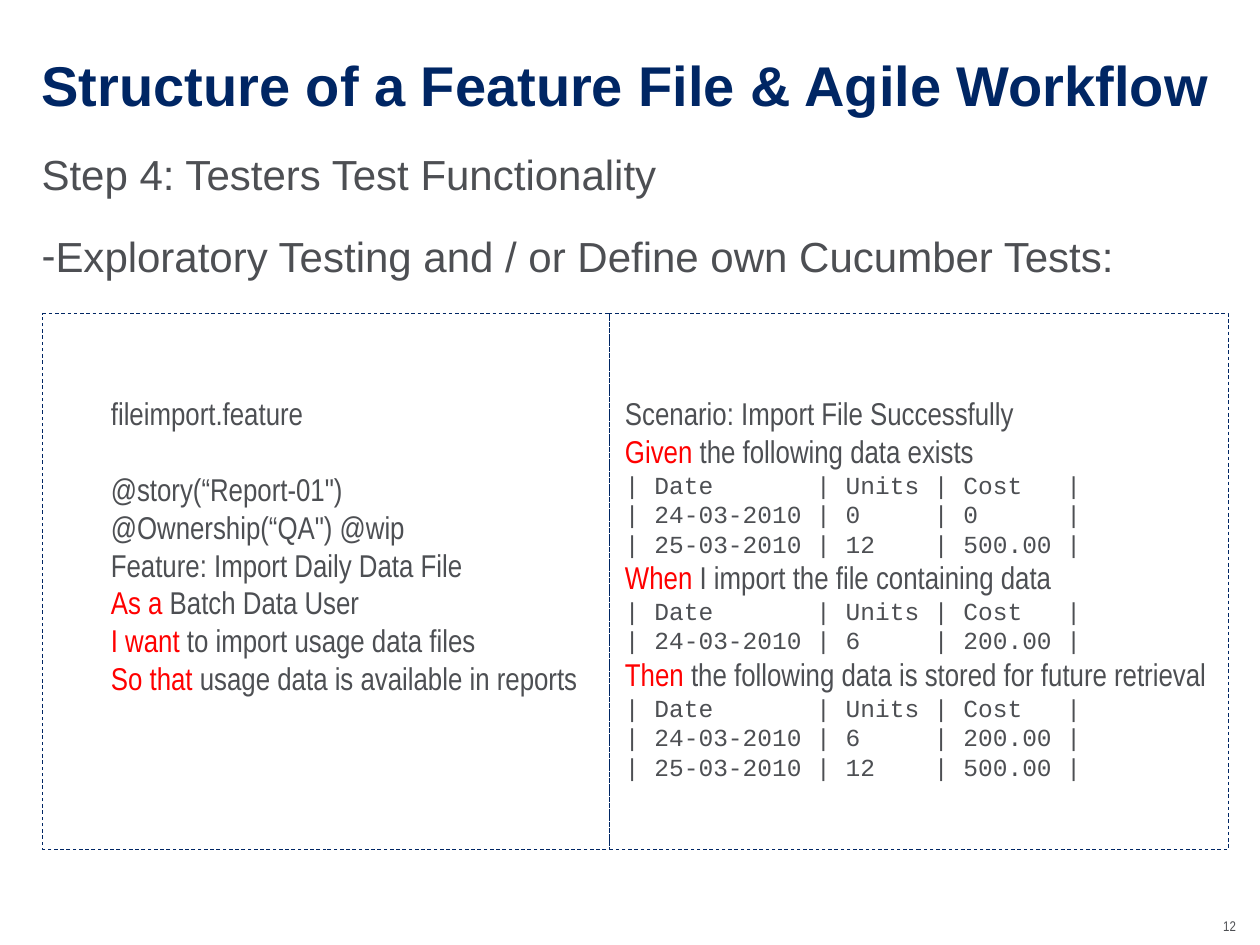
"""Build the slide on testing a feature file, step 4 of the agile workflow."""
from dataclasses import dataclass
from typing import Any

from lxml import etree
from pptx import Presentation
from pptx import util as u
from pptx.dml.color import RGBColor
from pptx.enum import dml, shapes, text
from pptx.oxml.ns import qn

SLIDE_WIDTH, SLIDE_HEIGHT = u.Inches(10), u.Inches(7.5)
COLUMNS, ROWS = 100, 75


@dataclass(frozen=True)
class Theme:
    """Colours, typefaces and type sizes of the slide."""
    navy: RGBColor = RGBColor(0x00, 0x26, 0x64)
    grey: RGBColor = RGBColor(0x4D, 0x4F, 0x53)
    red: RGBColor = RGBColor(0xFF, 0x00, 0x00)
    sans: str = "Arial"
    narrow: str = "Arial Narrow"
    mono: str = "Courier New"
    title: int = 32
    body: int = 24
    step: int = 18
    table: int = 14
    number: int = 8


THEME = Theme()


@dataclass(frozen=True)
class Frame:
    """A place on the grid, in columns and rows."""
    left: float
    top: float
    width: float
    height: float


@dataclass(frozen=True)
class Line:
    """One line of feature text with an optional red keyword."""
    words: str
    keyword: str = ""
    before: float = 0
    code: bool = False


@dataclass(frozen=True)
class Panel:
    """A dashed box of feature text."""
    frame: Frame
    indent: float
    lines: list[Line]


def columns(count: float) -> int:
    """Return the width of a number of grid columns."""
    return round(SLIDE_WIDTH * count / COLUMNS)


def rows(count: float) -> int:
    """Return the height of a number of grid rows."""
    return round(SLIDE_HEIGHT * count / ROWS)


def table_lines(*records: tuple[str, str]) -> list[Line]:
    """Lay out a header and records as lines of a Gherkin table."""
    cells = [("Date", "Units", "Cost")]
    cells += [(f"{day}-03-2010", *values.split()) for day, values in records]
    return [Line(f"| {date:<10} | {units:<5} | {cost:<6} |", code=True)
            for date, units, cost in cells]


def apply(target: Any, values: dict[str, Any]) -> None:
    """Set each named attribute on the target."""
    for name, value in values.items():
        setattr(target, name, value)


def place(shape: Any, frame: Frame) -> None:
    """Move a shape to its grid frame."""
    apply(shape, {"left": columns(frame.left), "top": rows(frame.top),
                  "width": columns(frame.width), "height": rows(frame.height)})


def format_frame(shape: Any, left: float = 0, top: float = 0,
                 anchor: Any = text.MSO_ANCHOR.TOP) -> Any:
    """Set the margins of a text frame and return it."""
    frame = shape.text_frame
    apply(frame, {"margin_left": columns(left), "margin_top": rows(top),
                  "margin_right": 0, "margin_bottom": 0, "word_wrap": True,
                  "auto_size": text.MSO_AUTO_SIZE.NONE,
                  "vertical_anchor": anchor})
    return frame


def add_paragraph(frame: Any, index: int, before: float = 0,
                  align: Any = text.PP_ALIGN.LEFT) -> Any:
    """Return the paragraph at the index, adding it after the first."""
    paragraph = frame.add_paragraph() if index else frame.paragraphs[0]
    apply(paragraph, {"alignment": align, "space_before": u.Pt(before)})
    return paragraph


def add_run(paragraph: Any, words: str, name: str, size: int,
            color: RGBColor, bold: bool = False) -> None:
    """Append formatted words to a paragraph."""
    run = paragraph.add_run()
    run.text = words
    apply(run.font, {"name": name, "size": u.Pt(size), "bold": bold})
    run.font.color.rgb = color


def set_bullet(paragraph: Any, mark: str = "") -> None:
    """Give a paragraph a flush bullet mark, or none."""
    properties = paragraph._p.get_or_add_pPr()
    apply_indent = {"marL": "0", "indent": "0"}
    for name, value in apply_indent.items():
        properties.set(name, value)
    bullet = etree.SubElement(properties, qn("a:buChar" if mark else "a:buNone"))
    if mark:
        bullet.set("char", mark)


def draw_title(slide: Any, words: str) -> None:
    """Fill the title placeholder."""
    shape = slide.shapes.title
    place(shape, Frame(3.3, 3.7, 93.3, 5.9))
    frame = format_frame(shape, anchor=text.MSO_ANCHOR.MIDDLE)
    add_run(add_paragraph(frame, 0), words, THEME.sans, THEME.title,
            THEME.navy, True)


def draw_body(slide: Any, items: list[tuple[str, str]]) -> None:
    """Fill the body placeholder with marked lines."""
    shape = slide.placeholders[1]
    place(shape, Frame(3.3, 11.8, 93.3, 53.5))
    frame = format_frame(shape)
    for index, (mark, words) in enumerate(items):
        paragraph = add_paragraph(frame, index, 18 if index else 0)
        set_bullet(paragraph, mark)
        add_run(paragraph, words, THEME.sans, THEME.body, THEME.grey)


def draw_panel(slide: Any, panel: Panel) -> None:
    """Draw a dashed box and its feature text."""
    shape = slide.shapes.add_shape(shapes.MSO_SHAPE.RECTANGLE, 0, 0, 0, 0)
    place(shape, panel.frame)
    shape.shadow.inherit = False
    shape.fill.background()
    shape.line.color.rgb = THEME.navy
    apply(shape.line, {"width": u.Pt(0.5), "dash_style": dml.MSO_LINE.DASH})
    frame = format_frame(shape, panel.indent, 6.4)
    for index, line in enumerate(panel.lines):
        paragraph = add_paragraph(frame, index, line.before)
        if line.keyword:
            add_run(paragraph, line.keyword, THEME.narrow, THEME.step, THEME.red)
        name, size = ((THEME.mono, THEME.table) if line.code
                      else (THEME.narrow, THEME.step))
        add_run(paragraph, line.words, name, size, THEME.grey)


def draw_number(slide: Any, words: str) -> None:
    """Write the slide number at the lower right."""
    shape = slide.shapes.add_textbox(0, 0, 0, 0)
    place(shape, Frame(74.8, 72.8, 23.3, 1.3))
    paragraph = add_paragraph(format_frame(shape), 0, align=text.PP_ALIGN.RIGHT)
    add_run(paragraph, words, THEME.narrow, THEME.number, THEME.grey)


SCENARIO = Panel(Frame(48.4, 24.9, 49.1, 42.5), 1.2, [
    Line("Scenario: Import File Successfully"),
    Line(" the following data exists", "Given"),
    *table_lines(("24", "0 0"), ("25", "12 500.00")),
    Line(" I import the file containing data", "When"),
    *table_lines(("24", "6 200.00")),
    Line(" the following data is stored for future retrieval", "Then"),
    *table_lines(("24", "6 200.00"), ("25", "12 500.00"))])
FEATURE = Panel(Frame(3.4, 24.9, 45, 42.5), 5.4, [
    Line("fileimport.feature"),
    Line('@story(“Report-01")', before=21.6),
    Line('@Ownership(“QA") @wip'),
    Line("Feature: Import Daily Data File"),
    Line(" Batch Data User", "As a"),
    Line("to import usage data files", "I want "),
    Line("usage data is available in reports", "So that ")])


def main() -> None:
    """Build and save the presentation."""
    presentation = Presentation()
    apply(presentation, {"slide_width": SLIDE_WIDTH, "slide_height": SLIDE_HEIGHT})
    slide = presentation.slides.add_slide(presentation.slide_layouts[1])
    draw_title(slide, "Structure of a Feature File & Agile Workflow")
    draw_body(slide, [
        ("", "Step 4: Testers Test Functionality"),
        ("-", "Exploratory Testing and / or Define own Cucumber Tests:")])
    draw_number(slide, "12")
    for panel in (SCENARIO, FEATURE):
        draw_panel(slide, panel)
    presentation.save("out.pptx")


if __name__ == "__main__":
    main()
